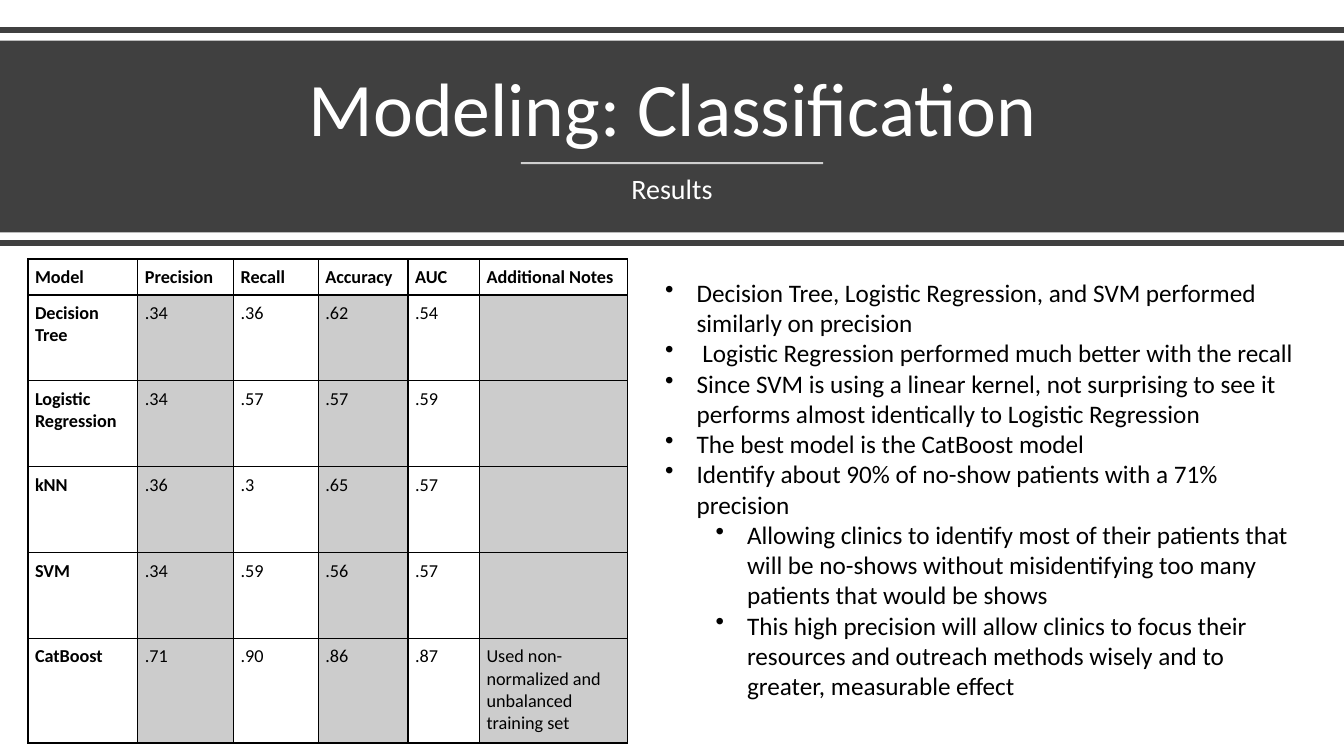
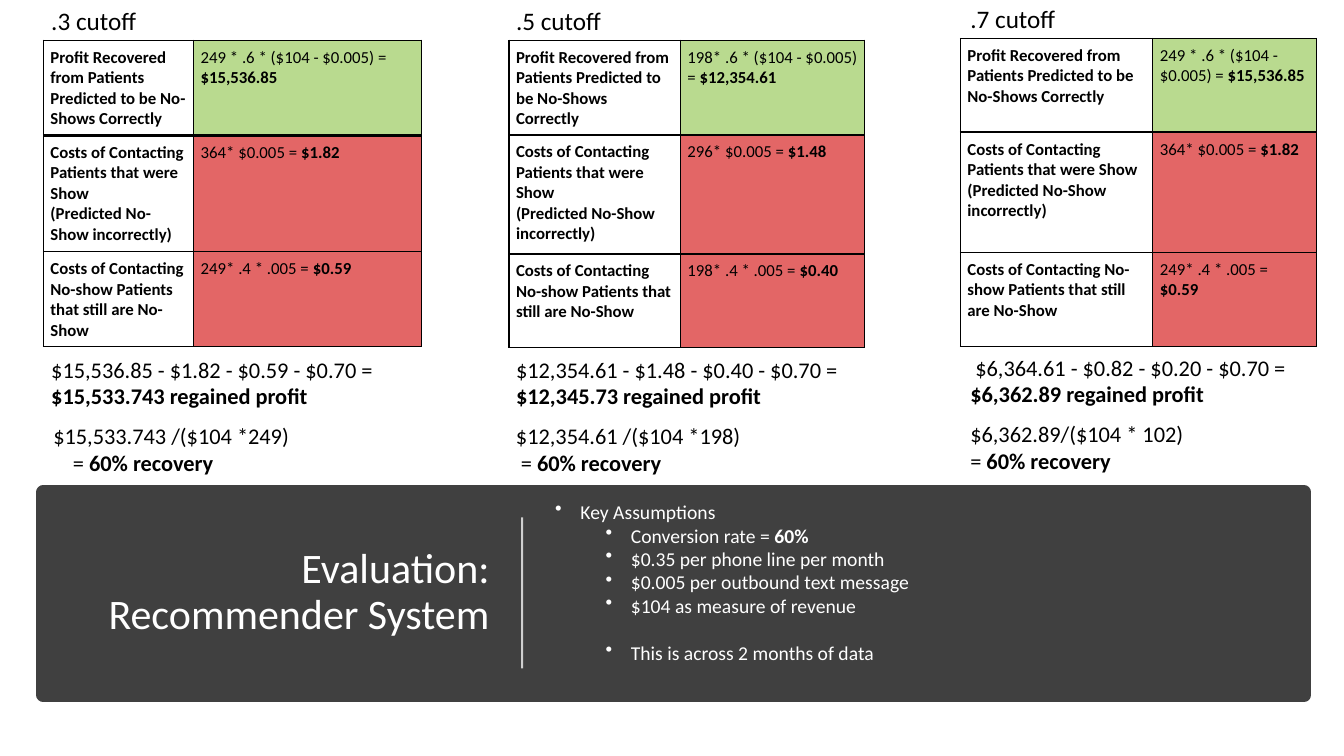
from typing import NamedTuple

import pptx
import pptx.dml.color
import pptx.enum.shapes
import pptx.enum.text
import pptx.oxml
import pptx.oxml.ns
import pptx.util
from lxml import etree

Pt = pptx.util.Pt
ALIGN = pptx.enum.text.PP_ALIGN
ANCHOR = pptx.enum.text.MSO_ANCHOR
FONT = "Calibri"
COLORS = {
    "band": "404040",
    "light": "FFFFFF",
    "ink": "000000",
    "shade": "CCCCCC",
    "gain": "B9DA8F",
    "cost": "E36666",
}
SLIDE_WIDTH, SLIDE_HEIGHT = 960, 540
CELL_INSET = 5

RESULTS = [
    ["|Model", "|Precision", "|Recall", "|Accuracy", "|AUC", "|Additional Notes"],
    ["|Decision Tree", ".34", ".36", ".62", ".54", ""],
    ["|Logistic Regression", ".34", ".57", ".57", ".59", ""],
    ["|kNN", ".36", ".3", ".65", ".57", ""],
    ["|SVM", ".34", ".59", ".56", ".57", ""],
    ["|CatBoost", ".71", ".90", ".86", ".87",
     "Used non-normalized and unbalanced training set"],
]
FINDINGS = [
    (0, "Decision Tree, Logistic Regression, and SVM performed similarly on precision"),
    (0, " Logistic Regression performed much better with the recall"),
    (0, "Since SVM is using a linear kernel, not surprising to see it performs "
        "almost identically to Logistic Regression"),
    (0, "The best model is the CatBoost model"),
    (0, "Identify about 90% of no-show patients with a 71% precision"),
    (1, "Allowing clinics to identify most of their patients that will be no-shows "
        "without misidentifying too many patients that would be shows"),
    (1, "This high precision will allow clinics to focus their resources and outreach "
        "methods wisely and to greater, measurable effect"),
]
ASSUMPTIONS = [
    (0, "Key Assumptions"),
    (1, "Conversion rate = |60%"),
    (1, "$0.35 per phone line per month"),
    (1, "$0.005 per outbound text message"),
    (1, "$104 as measure of revenue"),
    (1, "This is across 2 months of data"),
]
COST_LABELS = [
    "|Profit Recovered from Patients Predicted to be No-Shows Correctly",
    "|Costs of Contacting Patients that were Show\n|(Predicted No-Show incorrectly)",
    "|Costs of Contacting No-show Patients that still are No-Show",
]


class Scenario(NamedTuple):
    cutoff: str
    text_left: float
    table_left: float
    shift: float
    columns: tuple
    rows: tuple
    amounts: tuple
    profit: tuple
    recovery: tuple
    recovery_indents: tuple


SCENARIOS = [
    Scenario(".3 cutoff", 29.5, 31, 0, (107.3, 162.7), (68, 83, 67),
             ("249 * .6 * ($104 - $0.005) = |$15,536.85", "364* $0.005 = |$1.82",
              "249* .4 * .005 = |$0.59"),
             ("$15,536.85 - $1.82 - $0.59 - $0.70 =", "|$15,533.743 regained profit"),
             ("$15,533.743 /($104 *249)", "= |60% recovery"), (1.5, 15.5)),
    Scenario(".5 cutoff", 361.5, 363.6, 0, (122.4, 131.8), (67, 85, 67),
             ("198* .6 * ($104 - $0.005) = |$12,354.61", "296* $0.005 = |$1.48",
              "198* .4 * .005 = |$0.40"),
             ("$12,354.61 - $1.48 - $0.40 - $0.70 =", "|$12,345.73 regained profit"),
             ("$12,354.61 /($104 *198)", "= |60% recovery"), (0, 3.5)),
    Scenario(".7 cutoff", 686, 686, -1.4, (137.5, 116.6), (67, 86, 67),
             ("249 * .6 * ($104 - $0.005) = |$15,536.85", "364* $0.005 = |$1.82",
              "249* .4 * .005 = |$0.59"),
             (" $6,364.61 - $0.82 - $0.20 - $0.70 =", "|$6,362.89 regained profit"),
             ("$6,362.89/($104 * 102)", "= |60% recovery"), (0, 0)),
]


def rgb(name):
    return pptx.dml.color.RGBColor.from_string(COLORS[name])


def write(paragraph, text, size, color="ink", align=ALIGN.LEFT):
    paragraph.alignment = align
    font = paragraph.font
    font.name, font.size = FONT, Pt(size)
    font.color.rgb = rgb(color)
    for index, part in enumerate(text.split("|")):
        if part:
            run = paragraph.add_run()
            run.text = part
            if index % 2:
                run.font.bold = True


def write_lines(frame, lines, size, color="ink", align=ALIGN.LEFT):
    for index, line in enumerate(lines):
        paragraph = frame.add_paragraph() if index else frame.paragraphs[0]
        write(paragraph, line, size, color, align)


def indent(paragraph, left, hanging=0, bullet=None):
    properties = paragraph._p.get_or_add_pPr()
    properties.set("marL", str(int(Pt(left))))
    properties.set("indent", str(-int(Pt(hanging))))
    if bullet:
        mark = pptx.oxml.parse_xml(
            f'<a:buChar {pptx.oxml.ns.nsdecls("a")} char="{bullet}"/>')
        defaults = properties.find(pptx.oxml.ns.qn("a:defRPr"))
        defaults.addprevious(mark)


def add_text(slide, box, lines, size, color="ink", align=ALIGN.LEFT):
    frame = slide.shapes.add_textbox(*map(Pt, box)).text_frame
    frame.word_wrap = True
    write_lines(frame, lines, size, color, align)
    return frame


def add_bullets(slide, box, items, size, color, hanging):
    frame = add_text(slide, box, [text for _, text in items], size, color)
    for paragraph, (level, _) in zip(frame.paragraphs, items):
        paragraph.level = level
        indent(paragraph, hanging + 36 * level, hanging, "•")
    return frame


def add_line(slide, start, end, color, width, opacity=100):
    line = slide.shapes.add_connector(
        pptx.enum.shapes.MSO_CONNECTOR.STRAIGHT, *map(Pt, start + end))
    line.line.color.rgb = rgb(color)
    line.line.width = Pt(width)
    if opacity < 100:
        tint = line._element.spPr.find(".//" + pptx.oxml.ns.qn("a:srgbClr"))
        etree.SubElement(tint, pptx.oxml.ns.qn("a:alpha"), val=str(opacity * 1000))
    etree.SubElement(line._element.spPr, pptx.oxml.ns.qn("a:effectLst"))


def add_titled_band(slide, band_box, border, title_box, text, size, align, anchor):
    band = slide.shapes.add_shape(
        pptx.enum.shapes.MSO_SHAPE.RECTANGLE, *map(Pt, band_box))
    band.shadow.inherit = False
    band.fill.solid()
    band.fill.fore_color.rgb = rgb("band")
    if border:
        band.line.color.rgb = rgb("band")
        band.line.width = Pt(border)
    else:
        band.line.fill.background()
    title = slide.shapes.title
    title._element.addprevious(band._element)
    title.left, title.top, title.width, title.height = map(Pt, title_box)
    frame = title.text_frame
    frame.word_wrap = True
    frame.auto_size = pptx.enum.text.MSO_AUTO_SIZE.NONE
    frame.vertical_anchor = anchor
    write(frame.paragraphs[0], text, size, "light", align)
    frame.paragraphs[0].line_spacing = 0.9


def border_cell(cell, bottom):
    properties = cell._tc.get_or_add_tcPr()
    for side, width in (("L", 1), ("R", 1), ("T", 1), ("B", bottom)):
        properties.append(pptx.oxml.parse_xml(
            f'<a:ln{side} {pptx.oxml.ns.nsdecls("a")} w="{int(Pt(width))}">'
            f'<a:solidFill><a:srgbClr val="{COLORS["ink"]}"/></a:solidFill></a:ln{side}>'))


def add_grid(slide, left, top, columns, rows, texts, size, fill_for):
    table = slide.shapes.add_table(
        len(rows), len(columns), Pt(left), Pt(top), Pt(sum(columns)), Pt(sum(rows))).table
    table.first_row = table.horz_banding = False
    for column, width in zip(table.columns, columns):
        column.width = Pt(width)
    for row_index, (row, height) in enumerate(zip(table.rows, rows)):
        row.height = Pt(height)
        for column_index, cell in enumerate(row.cells):
            cell.margin_left = cell.margin_right = Pt(CELL_INSET)
            cell.margin_top = cell.margin_bottom = Pt(CELL_INSET)
            border_cell(cell, 1 if row_index else 2)
            cell.fill.solid()
            cell.fill.fore_color.rgb = rgb(fill_for(row_index, column_index))
            lines = texts[row_index][column_index].split("\n")
            write_lines(cell.text_frame, lines, size)


def result_fill(row, column):
    return "shade" if row and column % 2 else "light"


def cost_fill(row, column):
    if column == 0:
        return "light"
    return "cost" if row else "gain"


def build_classification(slide):
    add_titled_band(slide, (0, 29, SLIDE_WIDTH, 137), 0, (42, 39, 877, 73.5),
                    "Modeling: Classification", 54, ALIGN.CENTER, ANCHOR.BOTTOM)
    for edge in (21.5, 173.5):
        add_line(slide, (0, edge), (SLIDE_WIDTH, edge), "band", 4)
    add_line(slide, (372, 116.5), (588, 116.5), "light", 1.5, 75)
    subtitle = add_text(slide, (120, 121.5, 720, 33), ["Results"], 20, "light", ALIGN.CENTER)
    subtitle.paragraphs[0].line_spacing = 0.9
    add_grid(slide, 20, 185, (78.5, 68.4, 60.5, 64.1, 51.1, 105.8),
             (25.5, *[61.4] * 4, 74.5), RESULTS, 13, result_fill)
    add_bullets(slide, (468, 194.5, 472, 312), FINDINGS, 18, "ink", 22.5)


def add_scenario(slide, scenario):
    left, shift = scenario.text_left, scenario.shift
    add_text(slide, (left, 0.5 + shift, 101, 29), [scenario.cutoff], 18)
    add_grid(slide, scenario.table_left, 28.8 + shift, scenario.columns, scenario.rows,
             list(zip(COST_LABELS, scenario.amounts)), 12, cost_fill)
    add_text(slide, (left, 250.5 + shift, 270, 46), scenario.profit, 16)
    recovery = add_text(slide, (left, 298 + shift, 222, 46), scenario.recovery, 16)
    for paragraph, left_indent in zip(recovery.paragraphs, scenario.recovery_indents):
        indent(paragraph, left_indent)


def build_evaluation(slide):
    add_titled_band(slide, (31, 351.5, 900.5, 145), 10, (51, 363.5, 306, 120),
                    "Evaluation: Recommender System", 30, ALIGN.RIGHT, ANCHOR.MIDDLE)
    add_line(slide, (373, 477.5), (373, 369.5), "light", 1.5, 75)
    assumptions = add_bullets(slide, (389.5, 363.5, 558.5, 120), ASSUMPTIONS, 14, "light", 18)
    assumptions.vertical_anchor = ANCHOR.MIDDLE
    assumptions.margin_bottom = Pt(14.5)
    for paragraph in assumptions.paragraphs:
        paragraph.line_spacing = 0.7
        paragraph.space_before = Pt(5)
    assumptions.paragraphs[-1].space_before = Pt(22)
    for scenario in SCENARIOS:
        add_scenario(slide, scenario)


def main():
    deck = pptx.Presentation()
    deck.slide_width, deck.slide_height = Pt(SLIDE_WIDTH), Pt(SLIDE_HEIGHT)
    title_only = deck.slide_layouts[5]
    for build in (build_classification, build_evaluation):
        build(deck.slides.add_slide(title_only))
    deck.save("out.pptx")


if __name__ == "__main__":
    main()
